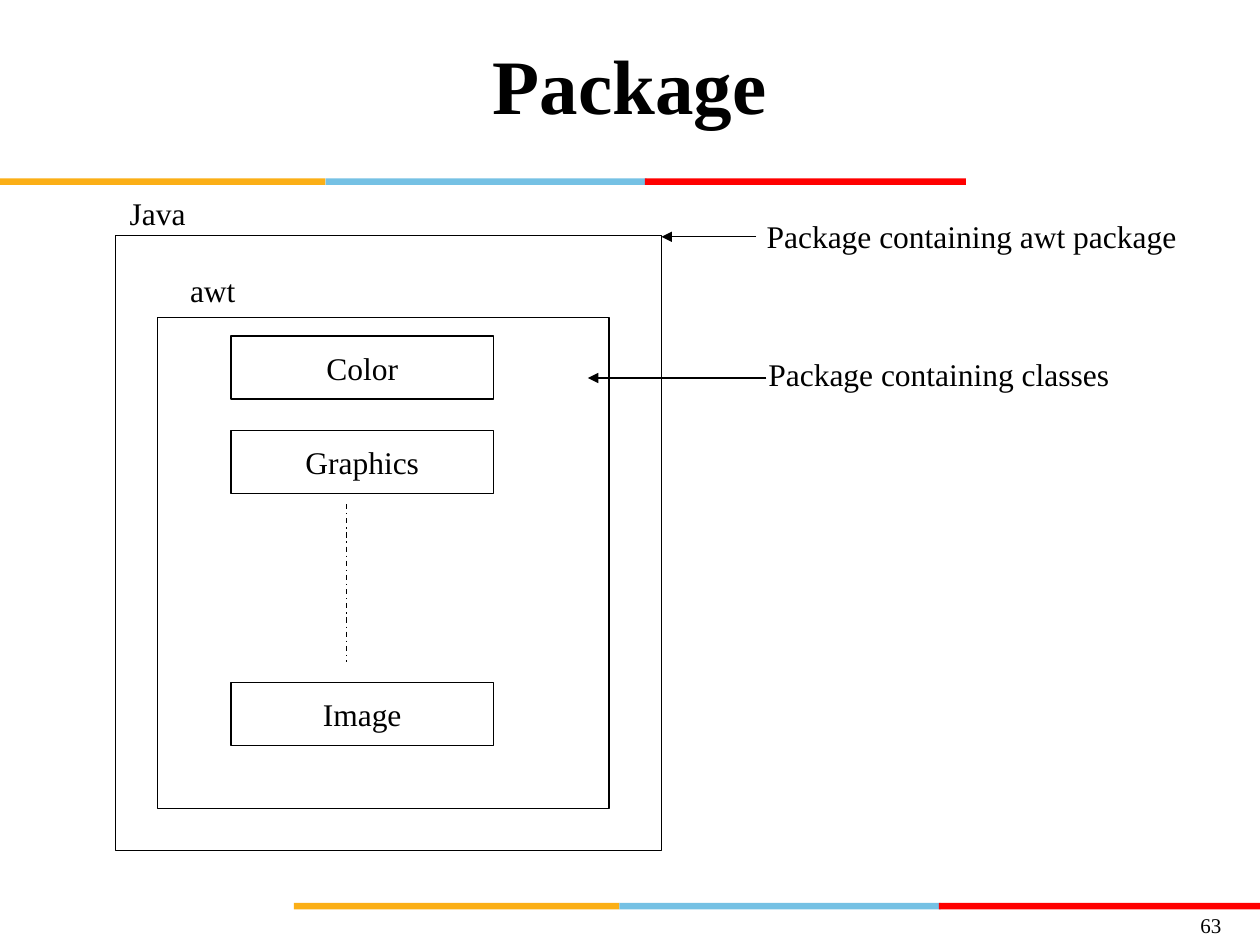
from pptx import Presentation
from pptx.dml.color import RGBColor
from pptx.enum.dml import MSO_LINE
from pptx.enum.shapes import MSO_CONNECTOR, MSO_SHAPE
from pptx.enum.text import MSO_ANCHOR, PP_ALIGN
from pptx.oxml.ns import qn
from pptx.util import Pt
from lxml.etree import SubElement

FONT = "Times New Roman"
BLACK = "000000"
WHITE = "FFFFFF"


def rgb(color):
    """Turn a hex string into a colour."""
    return RGBColor.from_string(color)


def write(tf, text, size=18, align=PP_ALIGN.LEFT, bold=False):
    """Put one formatted paragraph into a text frame."""
    p = tf.paragraphs[0]
    p.text = text
    p.alignment = align
    p.font.name = FONT
    p.font.size = Pt(size)
    p.font.bold = bold
    p.font.color.rgb = rgb(BLACK)


def add_title(s, text):
    """Place and fill the title placeholder."""
    sp = s.shapes.title
    sp.left, sp.top, sp.width, sp.height = Pt(36), Pt(21.6), Pt(648), Pt(53.3)
    tf = sp.text_frame
    tf.margin_left = tf.margin_top = tf.margin_right = tf.margin_bottom = 0
    tf.vertical_anchor = MSO_ANCHOR.TOP
    write(tf, text, 44, PP_ALIGN.CENTER, True)


def add_rect(s, x, y, w, h, fill=WHITE, outlined=True):
    """Draw a filled rectangle with or without a thin outline."""
    sp = s.shapes.add_shape(MSO_SHAPE.RECTANGLE, Pt(x), Pt(y), Pt(w), Pt(h))
    sp.shadow.inherit = False
    sp.fill.solid()
    sp.fill.fore_color.rgb = rgb(fill)
    if outlined:
        sp.line.color.rgb = rgb(BLACK)
        sp.line.width = Pt(0.75)
    else:
        sp.line.fill.background()
    return sp


def add_stripe(s, x, y):
    """Draw a three-coloured stripe starting at x."""
    for dx, w, color in ((0, 186, "FBAF16"), (186, 183.5, "75C1E4"), (368.5, 183.5, "FF0000")):
        add_rect(s, x + dx, y, w, 3.7, color, False)


def add_class(s, y, name):
    """Draw a class box with its name centred."""
    tf = add_rect(s, 132, y, 150, 36).text_frame
    tf.vertical_anchor = MSO_ANCHOR.MIDDLE
    tf.word_wrap = False
    write(tf, name, align=PP_ALIGN.CENTER)


def add_label(s, x, y, w, text, h=29, **style):
    """Add a wrapping text box."""
    tf = s.shapes.add_textbox(Pt(x), Pt(y), Pt(w), Pt(h)).text_frame
    tf.word_wrap = True
    write(tf, text, **style)


def add_line(s, x1, y1, x2, y2, dash=None, arrow=False):
    """Draw a thin line, optionally dashed or with an arrowhead at its end."""
    c = s.shapes.add_connector(MSO_CONNECTOR.STRAIGHT, Pt(x1), Pt(y1), Pt(x2), Pt(y2))
    c.line.color.rgb = rgb(BLACK)
    c.line.width = Pt(0.75)
    if dash:
        c.line.dash_style = dash
    if arrow:
        SubElement(c.line._get_or_add_ln(), qn("a:tailEnd"), type="triangle")
    SubElement(c._element.spPr, qn("a:effectLst"))


def main():
    """Build the slide and save it."""
    prs = Presentation()
    prs.slide_width, prs.slide_height = Pt(720), Pt(540)
    s = prs.slides.add_slide(prs.slide_layouts[5])

    add_stripe(s, 0, 102)
    add_stripe(s, 168, 516)
    add_title(s, "Package")

    add_rect(s, 66, 134.5, 312, 351.5)
    add_rect(s, 90, 181.5, 258, 280.5)
    for y, name in ((192, "Color"), (246, "Graphics"), (390, "Image")):
        add_class(s, y, name)
    add_line(s, 198, 288, 198, 378, dash=MSO_LINE.DASH_DOT)

    add_label(s, 67, 107.5, 144, "Java")
    add_label(s, 101.5, 151.5, 162, "awt")
    add_label(s, 431, 120.2, 252, "Package containing awt package")
    add_label(s, 432, 199.5, 252, "Package containing classes")
    add_line(s, 432, 135.3, 378, 135.3, arrow=True)
    add_line(s, 438, 216, 336, 216, arrow=True)

    add_label(s, 537, 517.7, 168, "63", h=22.3, size=12, align=PP_ALIGN.RIGHT)
    prs.save("out.pptx")


if __name__ == "__main__":
    main()
